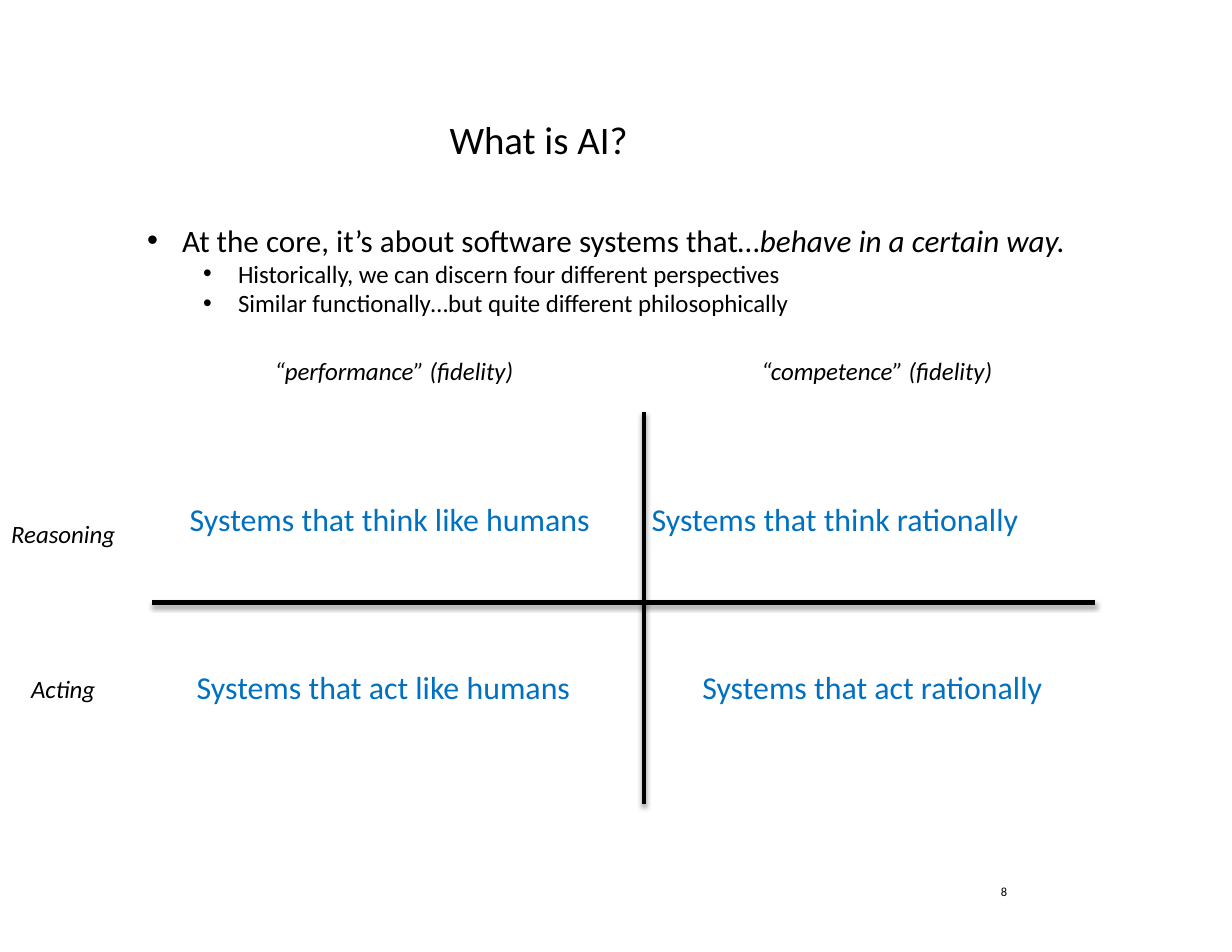
"""Build the slide on the four perspectives on AI as a two-by-two grid."""
from lxml import etree
from pptx import Presentation
from pptx.dml.color import RGBColor
from pptx.enum import shapes, text
from pptx.oxml import ns
from pptx.util import Pt

COLORS = {"ink": "000000", "quadrant": "0070C0"}
FONT = "Calibri"


def style(paragraph, size, color="ink", italic=False):
    for run in paragraph.runs:
        run.font.name = FONT
        run.font.size = Pt(size)
        run.font.italic = italic
        run.font.color.rgb = RGBColor.from_string(COLORS[color])


def add_text(slide, words, left, top, width, height, size, color="ink", italic=False):
    frame = slide.shapes.add_textbox(Pt(left), Pt(top), Pt(width), Pt(height)).text_frame
    frame.margin_left = frame.margin_right = frame.margin_top = frame.margin_bottom = 0
    frame.word_wrap = True
    frame.text = words
    for paragraph in frame.paragraphs:
        style(paragraph, size, color, italic)
    return frame


deck = Presentation()
deck.slide_width, deck.slide_height = Pt(792), Pt(612)
slide = deck.slides.add_slide(deck.slide_layouts[5])

title = slide.shapes.title
title.left, title.top, title.width, title.height = Pt(42.5), Pt(80), Pt(607.5), Pt(24)
heading = title.text_frame
heading.margin_left = heading.margin_right = heading.margin_top = heading.margin_bottom = 0
heading.vertical_anchor = text.MSO_ANCHOR.TOP
heading.auto_size = text.MSO_AUTO_SIZE.NONE
heading.text = "What is AI?"
heading.paragraphs[0].alignment = text.PP_ALIGN.CENTER
heading.paragraphs[0].line_spacing = Pt(24.1)
style(heading.paragraphs[0], 25)

axes = [(414, 265, 414, 517), (98, 387.5, 704, 387.5)]
for x1, y1, x2, y2 in axes:
    axis = slide.shapes.add_connector(shapes.MSO_CONNECTOR.STRAIGHT, Pt(x1), Pt(y1), Pt(x2), Pt(y2))
    axis.line.width = Pt(3)
    axis.line.color.rgb = RGBColor.from_string(COLORS["ink"])
    effects = etree.SubElement(axis._element.spPr, ns.qn("a:effectLst"))
    shadow = etree.SubElement(effects, ns.qn("a:outerShdw"), blurRad=str(Pt(3.1)),
                              dist=str(Pt(1.8)), dir="5400000", rotWithShape="0")
    shade = etree.SubElement(shadow, ns.qn("a:srgbClr"), val=COLORS["ink"])
    etree.SubElement(shade, ns.qn("a:alpha"), val="35000")

points = [
    (0, 20, "At the core, it’s about software systems that…"),
    (1, 16, "Historically, we can discern four different perspectives"),
    (1, 16, "Similar functionally…but quite different philosophically"),
]
summary = add_text(slide, "\n".join(words for _, _, words in points), 94.5, 142, 610, 62, 20)
summary.paragraphs[0].add_run().text = "behave in a certain way."
for paragraph, (level, size, _) in zip(summary.paragraphs, points):
    paragraph.level = level
    style(paragraph, size)
    properties = paragraph._p.get_or_add_pPr()
    properties.set("marL", str(Pt(22.5 + 36 * level)))
    properties.set("indent", str(Pt(-22.5)))
    etree.SubElement(properties, ns.qn("a:buFont"), typeface="Arial")
    etree.SubElement(properties, ns.qn("a:buChar"), char="•")
summary.paragraphs[0].runs[1].font.italic = True

labels = [
    ("“performance” (fidelity)", 176.5, 228.5),
    ("“competence” (fidelity)", 489.5, 228.5),
    ("Reasoning", 7.2, 333.5),
    ("Acting", 20, 433),
]
for words, left, top in labels:
    add_text(slide, words, left, top, 170 if "fidelity" in words else 80, 20, 16, italic=True)

quadrants = [
    ("Systems that think like humans", 122, 321.5),
    ("Systems that think rationally", 419, 321.5),
    ("Systems that act like humans", 126.5, 429.5),
    ("Systems that act rationally", 451.5, 429.5),
]
for words, left, top in quadrants:
    add_text(slide, words, left, top, 280, 25, 20.5, "quadrant")

add_text(slide, "8", 643.5, 568, 12, 10, 8)

deck.save("out.pptx")
